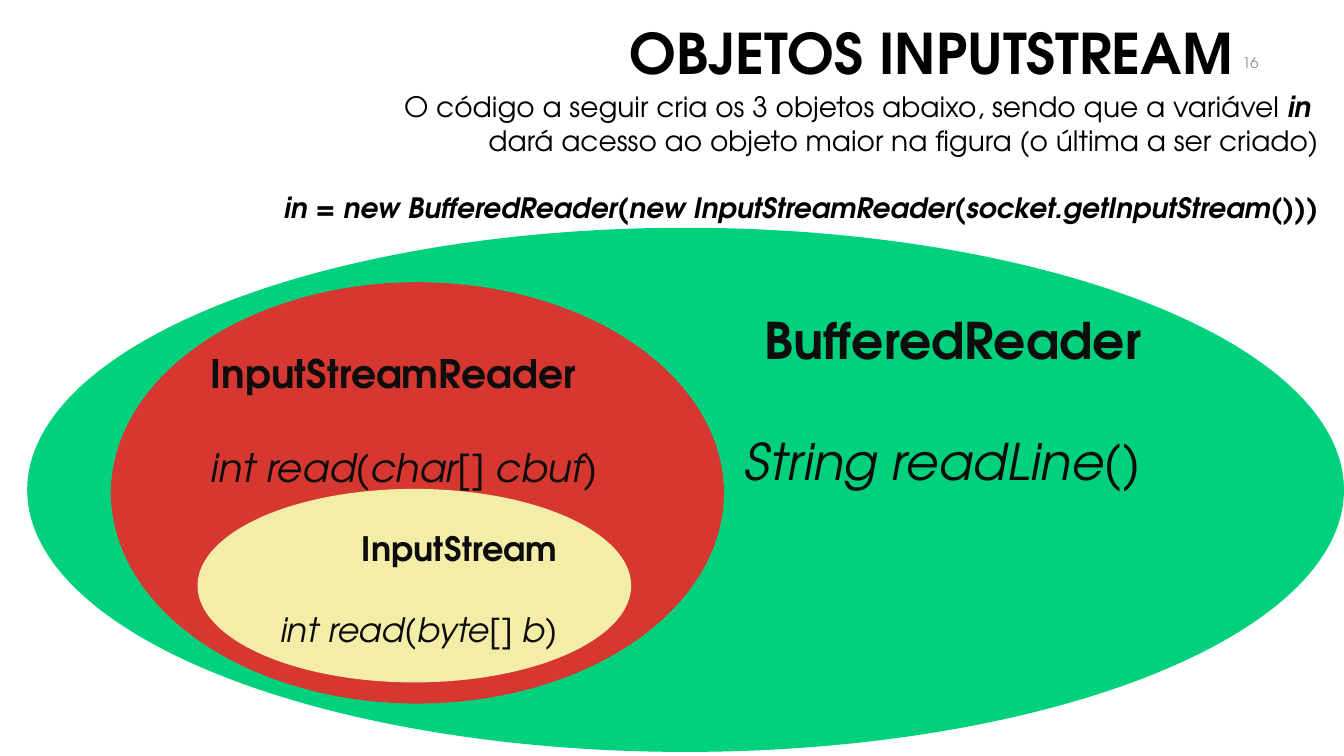
from dataclasses import dataclass

from pptx import Presentation
from pptx.dml.color import RGBColor as RGB
from pptx.enum.shapes import MSO_SHAPE as Shape
from pptx.enum.text import MSO_ANCHOR as Anchor, PP_ALIGN as Align
from pptx.util import Inches, Pt


@dataclass(frozen=True)
class Theme:
    font: str = "TeX Gyre Adventor"
    background: str = "FEFFFF"
    ink: str = "000000"
    label: str = "0D0D0D"
    muted: str = "8C8C8C"
    green: str = "01D17D"
    red: str = "D63731"
    cream: str = "F3EDA8"
    title: float = 40
    body: float = 20
    number: float = 10.5
    outer: float = 36
    middle: float = 28
    inner: float = 24
    line: float = 1.2


T = Theme()


def add_text(p, text, size=T.body, color=T.ink, bold=False, italic=False):
    r = p.add_run()
    r.text = text
    r.font.name = T.font
    r.font.size = Pt(size)
    r.font.bold = bold
    r.font.italic = italic
    r.font.color.rgb = RGB.from_string(color)


def add_box(s, box, anchor=Anchor.TOP):
    tf = s.shapes.add_textbox(*map(Inches, box)).text_frame
    tf.word_wrap = True
    tf.vertical_anchor = anchor
    return tf


def add_next(tf, align, size):
    p = tf.add_paragraph()
    p.alignment = align
    p.space_before = Pt(size * T.line)
    return p


def add_heading(s, box, title, number):
    left, top, width, height = box
    p = add_box(s, box, Anchor.MIDDLE).paragraphs[0]
    p.alignment = Align.CENTER
    p.line_spacing = 0.9
    add_text(p, title, size=T.title, bold=True)
    number_box = (left + width - 2.84, top + 0.36, 3, 0.4)
    p = add_box(s, number_box, Anchor.MIDDLE).paragraphs[0]
    p.alignment = Align.RIGHT
    add_text(p, number, size=T.number, color=T.muted)


def add_intro(s, box):
    tf = add_box(s, box)
    p = tf.paragraphs[0]
    p.alignment = Align.RIGHT
    add_text(p, "O código a seguir cria os 3 objetos abaixo, sendo que a variável ")
    add_text(p, "in ", bold=True, italic=True)
    p.add_line_break()
    add_text(p, "dará acesso ao objeto maior na figura (o última a ser criado)")
    p = add_next(tf, Align.RIGHT, T.body)
    add_text(p, "in = new BufferedReader(new InputStreamReader(socket.getInputStream()))",
             bold=True, italic=True)


def add_reader(s, box, name, method, fill, size, align=Align.RIGHT, anchor=Anchor.TOP):
    sp = s.shapes.add_shape(Shape.OVAL, *map(Inches, box))
    sp.shadow.inherit = False
    sp.fill.solid()
    sp.fill.fore_color.rgb = RGB.from_string(fill)
    sp.line.fill.background()
    tf = sp.text_frame
    tf.word_wrap = True
    tf.vertical_anchor = anchor
    p = tf.paragraphs[0]
    p.alignment = align
    add_text(p, name, size=size, color=T.label, bold=True)
    p = add_next(tf, align, size)
    add_text(p, method, size=size, color=T.label, italic=True)


def add_nested_readers(s, box):
    left, top, width, height = box
    add_reader(s, box, "BufferedReader", "String readLine()", T.green, T.outer)
    add_reader(s, (left + 0.83, top + 0.54, 6.08, 4.18), "InputStreamReader",
               "int read(char[] cbuf)", T.red, T.middle, align=Align.LEFT)
    add_reader(s, (left + 1.69, top + 2.59, 4.3, 1.92), "InputStream",
               "int read(byte[] b)", T.cream, T.inner, anchor=Anchor.BOTTOM)


def main():
    prs = Presentation()
    prs.slide_width = Inches(13.33)
    prs.slide_height = Inches(7.5)
    s = prs.slides.add_slide(prs.slide_layouts[6])
    s.background.fill.solid()
    s.background.fill.fore_color.rgb = RGB.from_string(T.background)
    add_nested_readers(s, (0.27, 2.26, 13.06, 5.2))
    add_heading(s, (6.05, 0.06, 6.37, 1), "OBJETOS INPUTSTREAM", "16")
    add_intro(s, (2.55, 0.84, 10.63, 1.78))
    prs.save("out.pptx")


if __name__ == "__main__":
    main()
